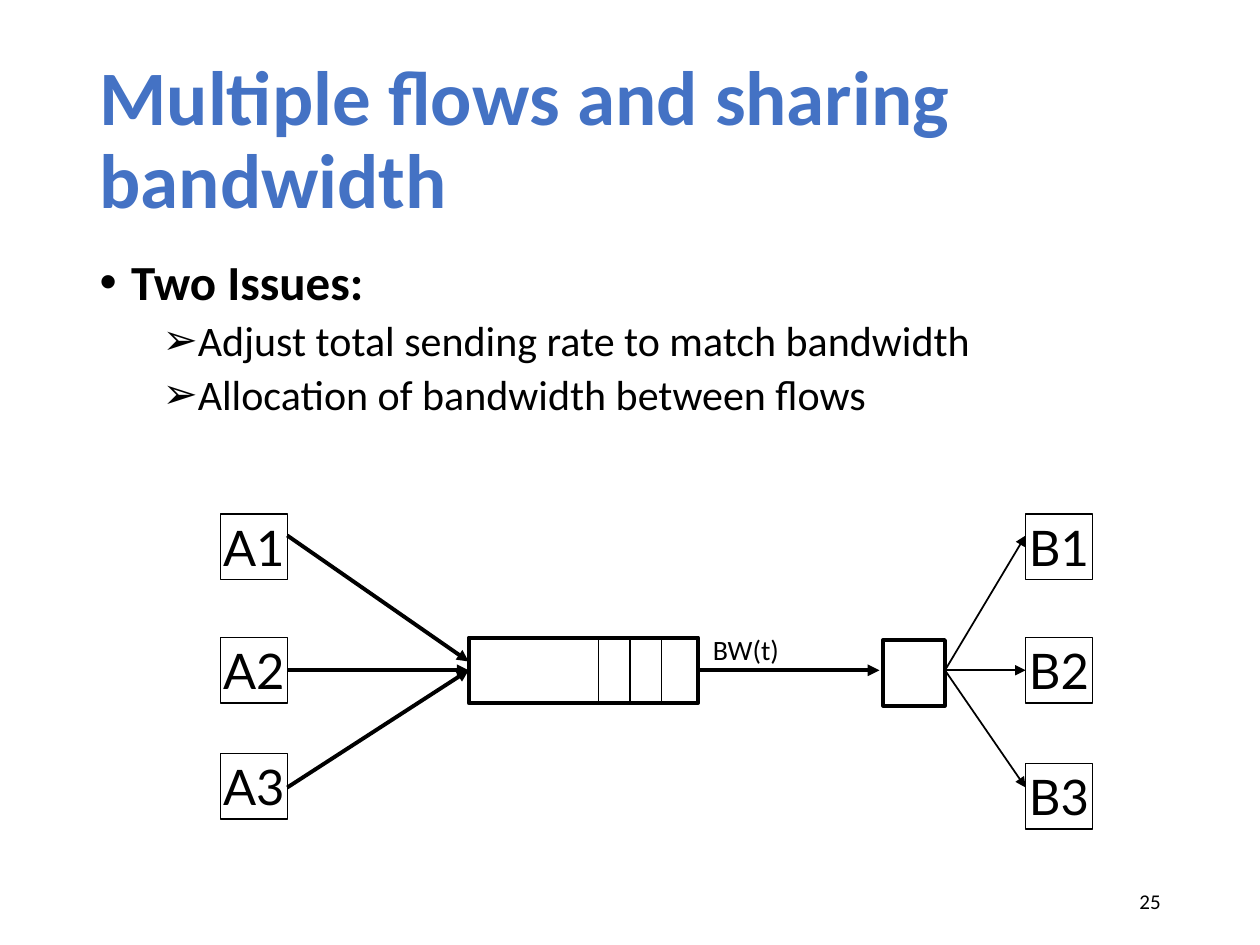
from dataclasses import dataclass

from lxml.etree import SubElement
from pptx import Presentation
from pptx.dml.color import RGBColor
from pptx.enum.shapes import MSO_CONNECTOR as Link, MSO_SHAPE as Form
from pptx.enum.text import MSO_ANCHOR as Anchor, MSO_AUTO_SIZE as Fit, PP_ALIGN as Align
from pptx.oxml.ns import qn
from pptx.util import Inches, Pt

BLACK, WHITE, BLUE = "000000", "FFFFFF", "4472C4"
THIN, MID, THICK = 0.75, 1, 2.25
SIDE, HIGH = 0.53, 0.52          # host box size
MIDY = 5.32                      # height of the main path


@dataclass
class Box:
    x: float
    y: float
    w: float = SIDE
    h: float = HIGH
    text: str = ""
    line: float = THIN


@dataclass
class Wire:
    x1: float
    y1: float
    x2: float
    y2: float
    line: float = MID
    arrow: bool = True


def color(code: str) -> RGBColor:
    return RGBColor.from_string(code)


def style(para, size: float, name: str = "Calibri", code: str = BLACK,
          bold: bool = False, align=Align.LEFT) -> None:
    font = para.font
    font.size, font.name, font.bold = Pt(size), name, bold
    font.color.rgb = color(code)
    para.alignment = align


def place(shape, x: float, y: float, w: float, h: float) -> None:
    shape.left, shape.top = Inches(x), Inches(y)
    shape.width, shape.height = Inches(w), Inches(h)


def bullet(para, mark: str, left: float) -> None:
    props = para._p.get_or_add_pPr()
    props.set("marL", str(Inches(left)))
    props.set("indent", str(Inches(-0.25)))
    SubElement(props, qn("a:buFont"), typeface="Arial")
    SubElement(props, qn("a:buChar"), char=mark)


def draw_box(slide, box: Box) -> None:
    shape = slide.shapes.add_shape(Form.RECTANGLE, Inches(box.x), Inches(box.y),
                                   Inches(box.w), Inches(box.h))
    shape.shadow.inherit = False
    shape.fill.solid()
    shape.fill.fore_color.rgb = color(WHITE)
    shape.line.color.rgb = color(BLACK)
    shape.line.width = Pt(box.line)
    if box.text:
        frame = shape.text_frame
        frame.word_wrap = False
        frame.vertical_anchor = Anchor.MIDDLE
        frame.margin_left = frame.margin_right = Inches(0.06)
        frame.margin_top = frame.margin_bottom = Inches(0.03)
        frame.text = box.text
        style(frame.paragraphs[0], 28, "Lato", align=Align.CENTER)


def draw_wire(slide, wire: Wire) -> None:
    link = slide.shapes.add_connector(Link.STRAIGHT, Inches(wire.x1), Inches(wire.y1),
                                      Inches(wire.x2), Inches(wire.y2))
    link.line.color.rgb = color(BLACK)
    link.line.width = Pt(wire.line)
    if wire.arrow:
        SubElement(link.line._get_or_add_ln(), qn("a:tailEnd"), type="triangle")
    SubElement(link._element.spPr, qn("a:effectLst"))


def add_label(slide, text: str, x: float, y: float, w: float, h: float,
              size: float, align=Align.LEFT, wrap: bool = False):
    frame = slide.shapes.add_textbox(Inches(x), Inches(y), Inches(w), Inches(h)).text_frame
    frame.word_wrap = wrap
    frame.text = text
    style(frame.paragraphs[0], size, align=align)
    return frame


def add_text(slide) -> None:
    # Title
    title = slide.shapes.title
    place(title, 0.69, 0.4, 8.62, 1.45)
    frame = title.text_frame
    frame.text = "Multiple flows and sharing bandwidth"
    frame.vertical_anchor = Anchor.MIDDLE
    frame.auto_size = Fit.NONE
    frame.paragraphs[0].line_spacing = 0.9
    style(frame.paragraphs[0], 44, code=BLUE, bold=True)

    # List
    body = slide.placeholders[1]
    place(body, 0.69, 2, 8.62, 4.76)
    frame = body.text_frame
    items = ["Two Issues:", "Adjust total sending rate to match bandwidth",
             "Allocation of bandwidth between flows"]
    frame.text = "\n".join(items)
    frame.auto_size = Fit.NONE
    for i, para in enumerate(frame.paragraphs):
        top = i == 0
        para.level = 0 if top else 1
        para.line_spacing = 0.9
        para.space_before = Pt(10 if top else 5)
        style(para, 28 if top else 24, bold=top)
        bullet(para, "•" if top else "➢", 0.25 if top else 0.75)


def add_net(slide) -> None:
    left, right = 1.75, 8.14
    out = left + SIDE
    queue = Box(3.72, 5.06, 1.82, line=THICK)
    node = Box(7.01, 5.08, 0.49, line=THICK)
    end, start = queue.x + queue.w, node.x + node.w

    # Hosts, queue and far node
    hosts = [Box(x, y, text=f"{name}{i}")
             for name, x, tops in (("A", left, (4.08, 5.06, 5.98)),
                                   ("B", right, (4.08, 5.06, 6.06)))
             for i, y in enumerate(tops, 1)]
    for box in [*hosts, queue, node]:
        draw_box(slide, box)

    # Packets in the queue
    slots = [Wire(x, 5.05, x, 5.58, arrow=False) for x in (4.75, 5, 5.25)]

    # Flows in, shared link and flows out
    ins = [Wire(out, y, queue.x, to, THICK)
           for y, to in ((4.25, 5.25), (MIDY, MIDY), (6.25, MIDY))]
    shared = Wire(end, MIDY, 6.98, MIDY, THICK)
    outs = [Wire(start, MIDY, right, y) for y in (4.25, MIDY, 6.25)]
    for wire in [*slots, *ins, shared, *outs]:
        draw_wire(slide, wire)
    add_label(slide, "BW(t)", 5.56, 4.97, 0.77, 0.37, 16)


def main() -> None:
    deck = Presentation()
    deck.slide_width, deck.slide_height = Inches(10), Inches(7.5)
    slide = deck.slides.add_slide(deck.slide_layouts[1])
    add_text(slide)
    add_net(slide)
    # Page number
    page = add_label(slide, "25", 7.06, 6.95, 2.25, 0.4, 12, Align.RIGHT, True)
    page.vertical_anchor = Anchor.MIDDLE
    deck.save("out.pptx")


if __name__ == "__main__":
    main()
